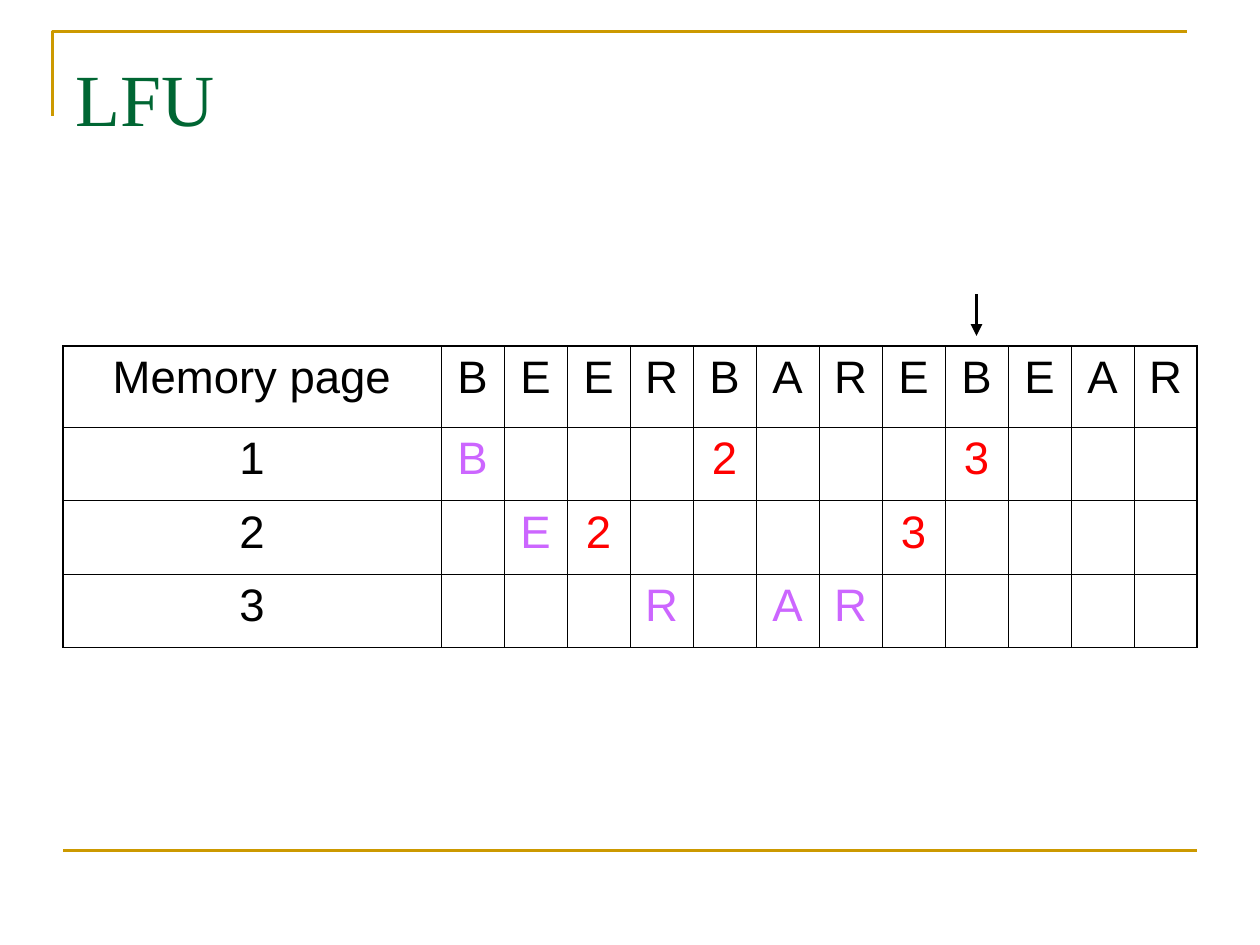
"""Build the LFU page replacement slide."""
from lxml.etree import SubElement
from pptx import Presentation
from pptx.dml.color import RGBColor
from pptx.enum.shapes import MSO_CONNECTOR
from pptx.enum.text import PP_ALIGN
from pptx.oxml.ns import qn
from pptx.util import Cm, Pt

COLORS = {
    "gold": "CC9900",
    "green": "006633",
    "black": "000000",
    "violet": "CC66FF",
    "red": "FF0000",
}
REFERENCES = "BEERBAREBEAR"
FRAMES = ["B...2...3...", ".E2....3....", "...R.AR....."]
LEFT, WIDTH = 1.27, 22.86
LABEL_W, STEP_W = 7.62, 1.27
TABLE_TOP, HEADER_H, FRAME_H = 6.98, 1.63, 1.48
THIN, THICK = 0.45, 1.08


def add_line(shapes, x1, y1, x2, y2, color, width):
    s = shapes.add_connector(MSO_CONNECTOR.STRAIGHT, Cm(x1), Cm(y1), Cm(x2), Cm(y2))
    s.line.color.rgb = RGBColor.from_string(COLORS[color])
    s.line.width = Pt(width)
    SubElement(s._element.spPr, qn("a:effectLst"))
    return s


def add_run(p, text, font, size, color):
    r = p.add_run()
    r.text = text
    r.font.name = font
    r.font.size = Pt(size)
    r.font.color.rgb = RGBColor.from_string(COLORS[color])


prs = Presentation()
prs.slide_width, prs.slide_height = Cm(25.4), Cm(19.05)
s = prs.slides.add_slide(prs.slide_layouts[6])

corner = s.shapes.build_freeform(Cm(1.06), Cm(2.33))
corner.add_line_segments([(Cm(1.06), Cm(0.63)), (Cm(23.92), Cm(0.63))], close=False)
sp = corner.convert_to_shape()
sp.shadow.inherit = False
sp.fill.background()
sp.line.color.rgb = RGBColor.from_string(COLORS["gold"])
sp.line.width = Pt(1.5)

add_line(s.shapes, LEFT, 17.15, LEFT + WIDTH, 17.15, "gold", 1.5)

title = s.shapes.add_textbox(Cm(LEFT), Cm(0.76), Cm(WIDTH), Cm(3.18))
tf = title.text_frame
tf.word_wrap = True
tf.margin_top = Cm(0.3)
add_run(tf.paragraphs[0], "LFU", "Times New Roman", 42, "green")

rows = [["Memory page", *REFERENCES]]
rows += [[str(n), *frame] for n, frame in enumerate(FRAMES, 1)]
last_row, last_col = len(rows) - 1, len(REFERENCES)
table = s.shapes.add_table(
    len(rows), last_col + 1, Cm(LEFT), Cm(TABLE_TOP),
    Cm(WIDTH), Cm(HEADER_H + FRAME_H * last_row),
).table
table.first_row = table.horz_banding = False
for j, col in enumerate(table.columns):
    col.width = Cm(STEP_W if j else LABEL_W)

for i, values in enumerate(rows):
    table.rows[i].height = Cm(FRAME_H if i else HEADER_H)
    for j, value in enumerate(values):
        cell = table.cell(i, j)
        outer = {"lnL": j == 0, "lnR": j == last_col, "lnT": i == 0, "lnB": i == last_row}
        for side, is_outer in outer.items():
            width = Pt(THICK if is_outer else THIN)
            ln = SubElement(cell._tc.get_or_add_tcPr(), qn(f"a:{side}"), w=str(width))
            SubElement(SubElement(ln, qn("a:solidFill")), qn("a:srgbClr"), val=COLORS["black"])
        cell.fill.background()
        p = cell.text_frame.paragraphs[0]
        p.alignment = PP_ALIGN.CENTER
        if value != ".":
            color = "black" if i == 0 or j == 0 else "red" if value.isdigit() else "violet"
            add_run(p, value, "Arial", 26, color)

arrow_x = LEFT + LABEL_W + STEP_W * 8.5
arrow = add_line(s.shapes, arrow_x, 5.93, arrow_x, 6.77, "black", 2.25)
SubElement(arrow.line._get_or_add_ln(), qn("a:tailEnd"), type="triangle")

prs.save("out.pptx")
